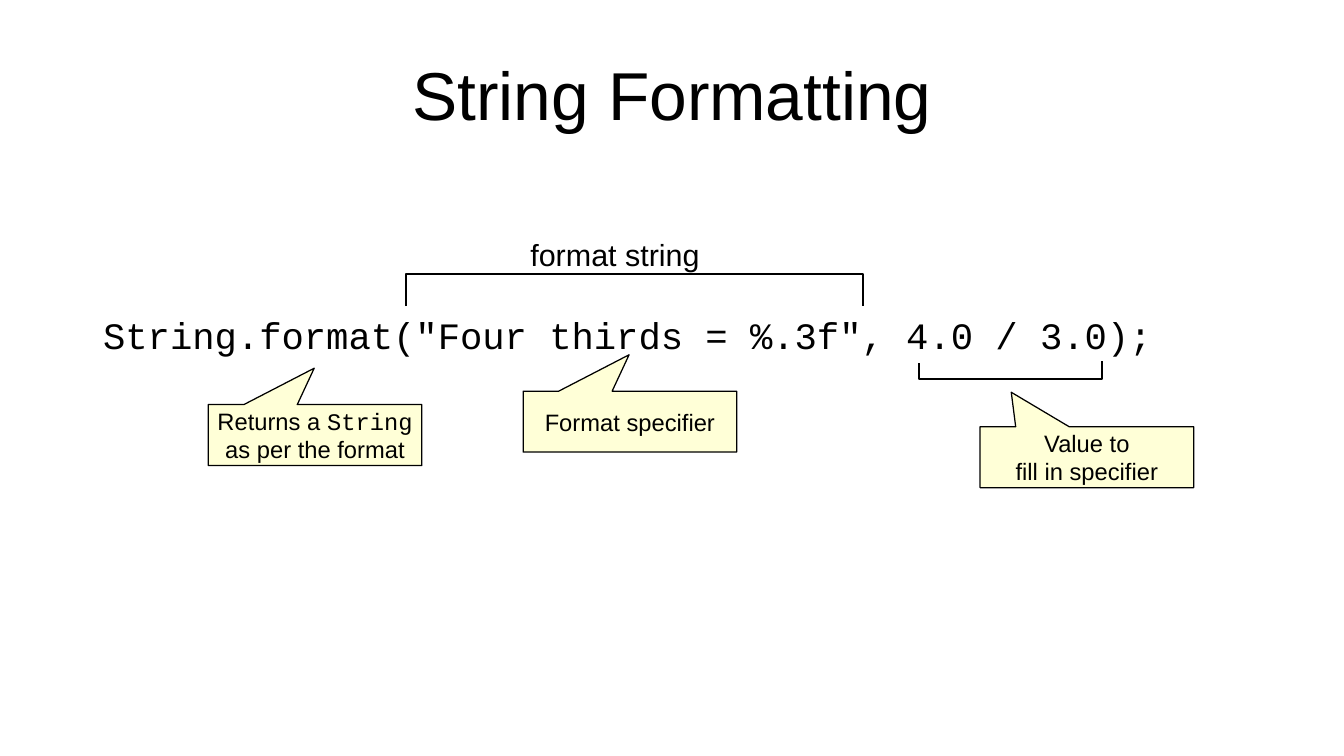
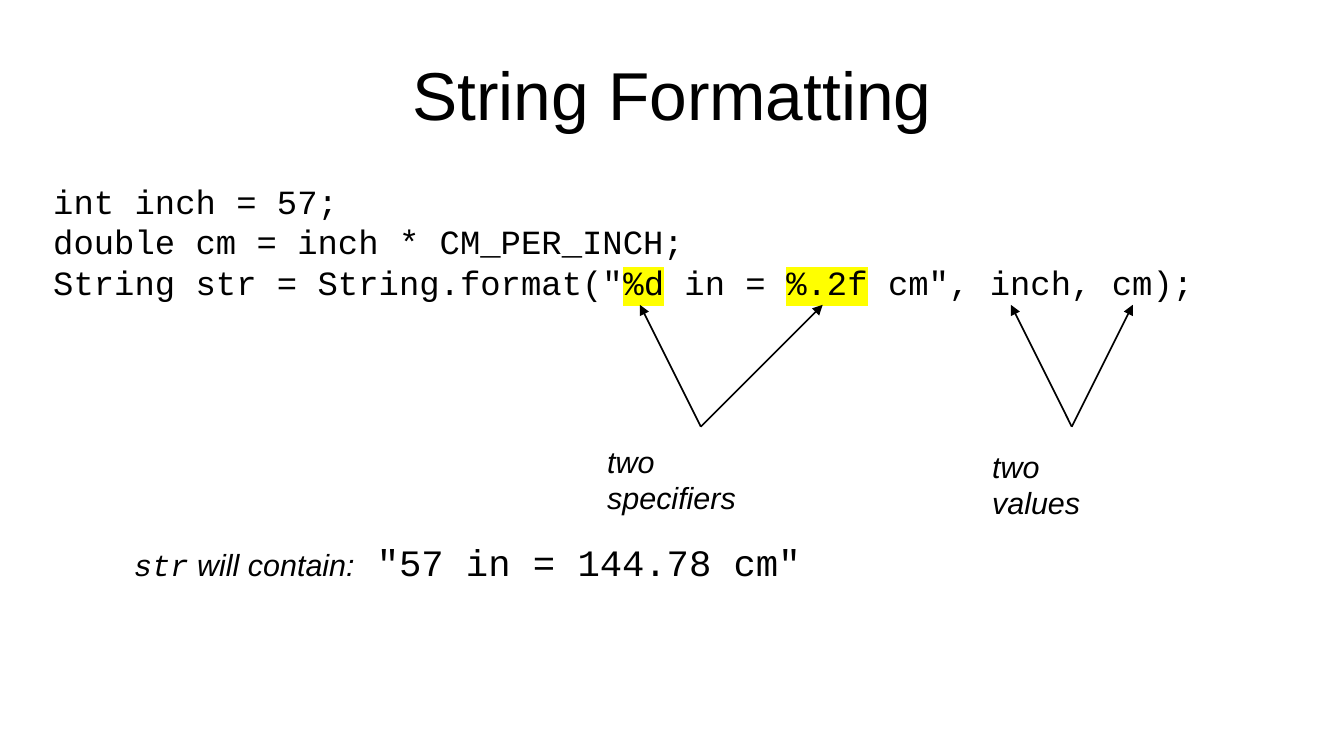
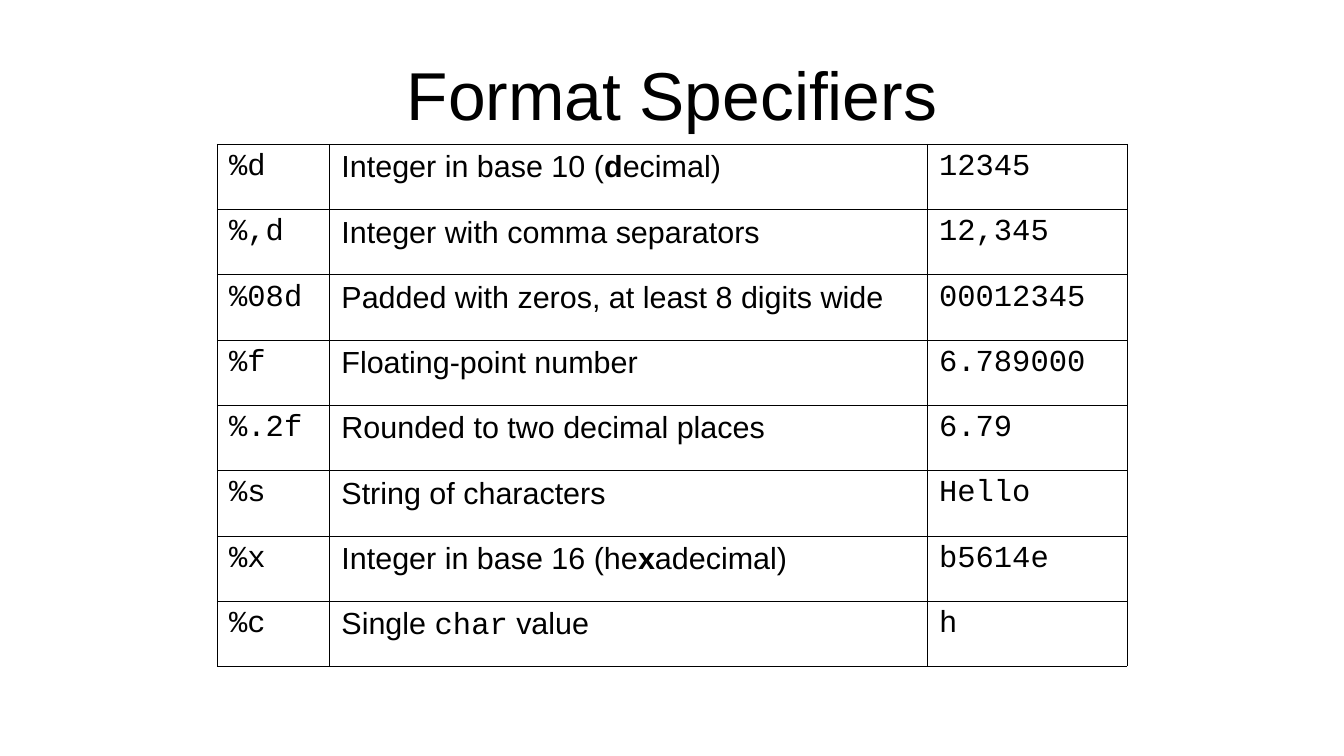
from lxml import etree
from pptx import Presentation
from pptx import util as u
from pptx.dml import color
from pptx.enum import shapes, text
from pptx.oxml import ns

Cm = u.Cm
SANS, MONO = "Arial", "Courier New"
INK, PAPER, NOTE, MARK = "000000", "FFFFFF", "FFFFD7", "FFFF00"


def rgb(value):
    return color.RGBColor.from_string(value)


def code(words, **style):
    """A span in the code font: its words and its style."""
    return words, dict(font=MONO, **style)


def add_xml(parent, tag, **attributes):
    return etree.SubElement(parent, ns.qn(tag), attributes)


class Lesson:
    """Holds the deck, its style and the current page."""

    TITLE_SIZE = 40
    LINE_WIDTH = 1
    CALLOUT_SIZE = (4.45, 1.27)

    def __init__(self):
        self.deck = Presentation()
        self.deck.slide_width, self.deck.slide_height = Cm(28), Cm(15.75)
        self.page = None

    def start(self, heading):
        self.page = self.deck.slides.add_slide(self.deck.slide_layouts[5])
        title = self.page.shapes.title
        title.left, title.top = Cm(1.4), Cm(0.63)
        title.width, title.height = Cm(25.2), Cm(2.63)
        frame = title.text_frame
        frame.auto_size = text.MSO_AUTO_SIZE.NONE
        frame.margin_left = frame.margin_right = 0
        frame.margin_top = frame.margin_bottom = 0
        frame.vertical_anchor = text.MSO_ANCHOR.MIDDLE
        self.set_lines(frame, [heading], self.TITLE_SIZE, align=text.PP_ALIGN.CENTER)

    def style(self, span, size, font=SANS, bold=False, italic=False, highlight=None):
        span.font.size = u.Pt(size)
        span.font.bold, span.font.italic = bold, italic
        span.font.color.rgb = rgb(INK)
        span.font.name = font
        if highlight:
            mark = etree.Element(ns.qn("a:highlight"))
            add_xml(mark, "a:srgbClr", val=highlight)
            span._r.get_or_add_rPr().find(ns.qn("a:solidFill")).addnext(mark)

    def set_lines(self, frame, lines, size, align=text.PP_ALIGN.LEFT, **base):
        """Each line is a string or a list of strings and (words, style) spans."""
        for index, line in enumerate(lines):
            para = frame.add_paragraph() if index else frame.paragraphs[0]
            para.alignment = align
            for part in [line] if isinstance(line, str) else line:
                words, extra = (part, {}) if isinstance(part, str) else part
                span = para.add_run()
                span.text = words
                self.style(span, **{"size": size, **base, **extra})

    def textbox(self, left, top, width, height, lines, size, **base):
        box = self.page.shapes.add_textbox(Cm(left), Cm(top), Cm(width), Cm(height))
        box.text_frame.word_wrap = True
        self.set_lines(box.text_frame, lines, size, **base)
        return box

    def bracket(self, left, right, bar, left_end, right_end):
        points = [(left, left_end), (left, bar), (right, bar), (right, right_end)]
        points = [(Cm(x), Cm(y)) for x, y in points]
        builder = self.page.shapes.build_freeform(*points[0])
        builder.add_line_segments(points[1:], close=False)
        outline = builder.convert_to_shape()
        outline.shadow.inherit = False
        outline.fill.background()
        self.draw_line(outline.line, self.LINE_WIDTH)

    def draw_line(self, line, width):
        line.color.rgb = rgb(INK)
        line.width = u.Pt(width)

    def callout(self, left, top, lines, tip=(-0.004, -1.097)):
        width, height = self.CALLOUT_SIZE
        box = self.page.shapes.add_shape(
            shapes.MSO_SHAPE.RECTANGULAR_CALLOUT, Cm(left), Cm(top), Cm(width), Cm(height))
        box.adjustments[0], box.adjustments[1] = tip
        box.shadow.inherit = False
        box.fill.solid()
        box.fill.fore_color.rgb = rgb(NOTE)
        self.draw_line(box.line, 0.75)
        box.text_frame.word_wrap = False
        box.text_frame.vertical_anchor = text.MSO_ANCHOR.MIDDLE
        self.set_lines(box.text_frame, lines, 14, align=text.PP_ALIGN.CENTER)

    def arrows(self, origin, targets):
        for target in targets:
            ends = [Cm(value) for value in (*origin, *target)]
            arrow = self.page.shapes.add_connector(shapes.MSO_CONNECTOR.STRAIGHT, *ends)
            self.draw_line(arrow.line, self.LINE_WIDTH)
            add_xml(arrow.line._get_or_add_ln(), "a:tailEnd", type="triangle")
            add_xml(arrow._element.spPr, "a:effectLst")

    def table(self, left, top, widths, row_height, rows, size):
        table = self.page.shapes.add_table(
            len(rows), len(widths), Cm(left), Cm(top),
            Cm(sum(widths)), Cm(row_height * len(rows))).table
        table.first_row = table.horz_banding = False
        for column, width in zip(table.columns, widths):
            column.width = Cm(width)
        for row, contents in zip(table.rows, rows):
            row.height = Cm(row_height)
            for cell, line in zip(row.cells, contents):
                self.set_lines(cell.text_frame, [line], size)
                self.border(cell)
                cell.fill.solid()
                cell.fill.fore_color.rgb = rgb(PAPER)

    def border(self, cell):
        properties = cell._tc.get_or_add_tcPr()
        for side in ("L", "R", "T", "B"):
            edge = add_xml(properties, "a:ln" + side, w=str(u.Pt(0.06)))
            add_xml(add_xml(edge, "a:solidFill"), "a:srgbClr", val=INK)


def format_call(lesson):
    lesson.start("String Formatting")
    lesson.textbox(1.9, 6.38, 24.26, 1.12,
                   ['String.format("Four thirds = %.3f", 4.0 / 3.0);'], 22, font=MONO)
    lesson.bracket(8.46, 17.98, 5.71, 6.38, 6.38)
    lesson.textbox(10.8, 4.8, 4.1, 0.97, ["format string"], 18)
    lesson.bracket(19.15, 22.96, 7.9, 7.57, 7.52)
    lesson.callout(4.34, 8.43, [["Returns a ", code("String")], "as per the format"])
    lesson.callout(10.9, 8.15, ["Format specifier"])
    lesson.callout(20.42, 8.89, ["Value to", "fill in specifier"], tip=(-0.354, -1.065))


def format_example(lesson):
    lesson.start("String Formatting")
    mark = {"highlight": MARK}
    lesson.textbox(0.86, 3.63, 26.8, 3.76, [
        "int inch = 57;",
        "double cm = inch * CM_PER_INCH;",
        ['String str = String.format("', ("%d", mark), " in = ", ("%.2f", mark),
         ' cm", inch, cm);'],
    ], 20, font=MONO)
    arrow_top, arrow_foot = 6.35, 8.89
    for foot, tips in ((14.6, (13.33, 17.14)), (22.33, (21.06, 23.6))):
        lesson.arrows((foot, arrow_foot), [(tip, arrow_top) for tip in tips])
    lesson.textbox(12.4, 9.1, 4.3, 0.97, ["two specifiers"], 18, italic=True)
    lesson.textbox(20.42, 9.2, 3.4, 0.97, ["two values"], 18, italic=True)
    result = lesson.textbox(2.54, 11.1, 14.48, 1.12, [
        [code("str"), " will contain:\t",
         code('"57 in = 144.78 cm"', size=22, italic=False)],
    ], 18, italic=True)
    properties = result.text_frame.paragraphs[0]._p.get_or_add_pPr()
    add_xml(add_xml(properties, "a:tabLst"), "a:tab", pos=str(Cm(5.06)), algn="l")


def format_specifiers(lesson):
    lesson.start("Format Specifiers")
    bold = {"bold": True}
    entries = [
        ("%d", ["Integer in base 10 (", ("d", bold), "ecimal)"], "12345"),
        ("%,d", "Integer with comma separators", "12,345"),
        ("%08d", "Padded with zeros, at least 8 digits wide", "00012345"),
        ("%f", "Floating-point number", "6.789000"),
        ("%.2f", "Rounded to two decimal places", "6.79"),
        ("%s", "String of characters", "Hello"),
        ("%x", ["Integer in base 16 (he", ("x", bold), "adecimal)"], "b5614e"),
        ("%c", ["Single ", code("char"), " value"], "h"),
    ]
    rows = [([code(specifier)], meaning, [code(sample)])
            for specifier, meaning, sample in entries]
    lesson.table(4.52, 3, (2.34, 12.45, 4.17), 1.36, rows, 18)


def main():
    lesson = Lesson()
    format_call(lesson)
    format_example(lesson)
    format_specifiers(lesson)
    lesson.deck.save("out.pptx")


if __name__ == "__main__":
    main()
